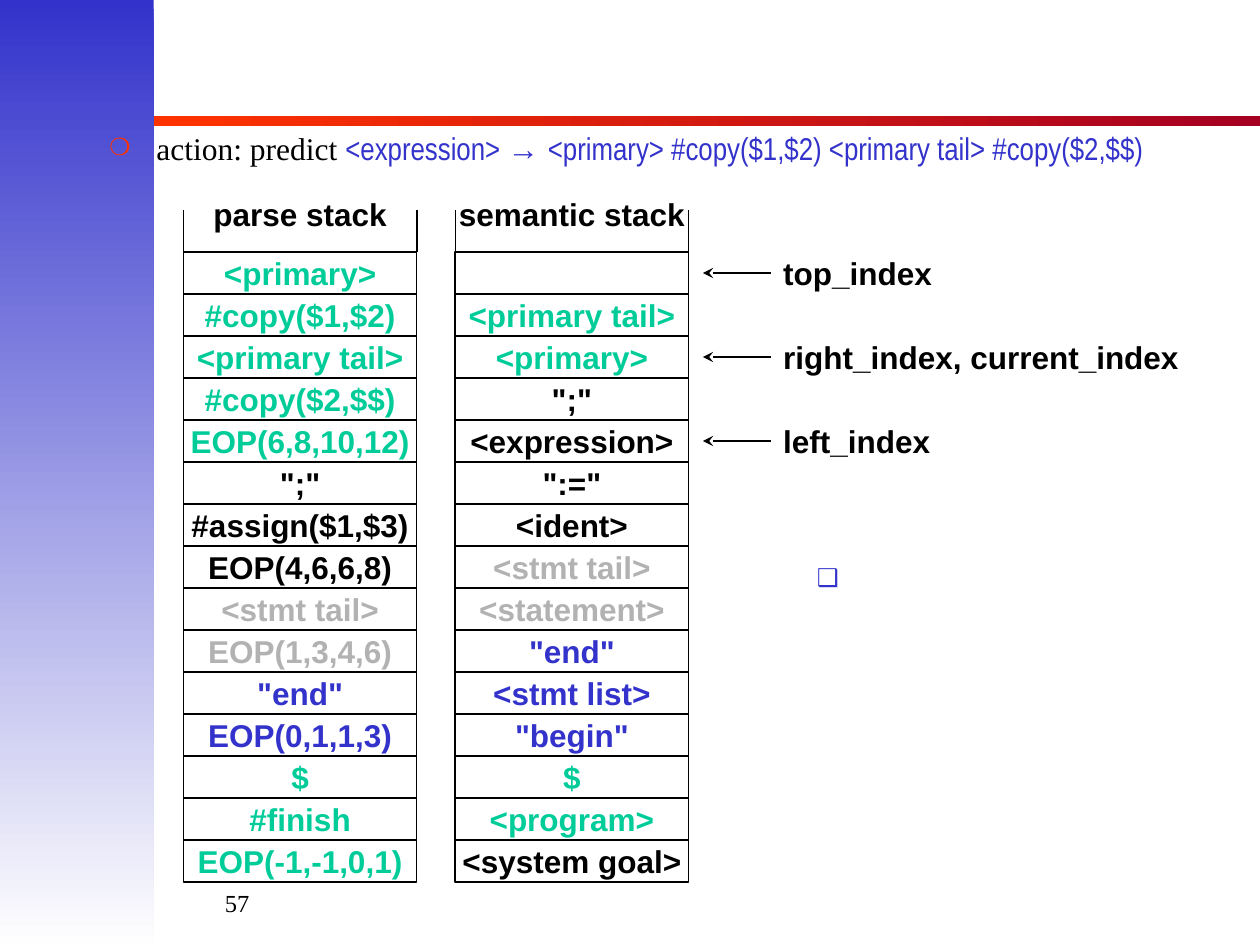
import pptx
import pptx.dml.color
import pptx.enum.shapes
import pptx.enum.text
import pptx.oxml
import pptx.oxml.ns
import pptx.util
from pptx.util import Cm

BLACK, BLUE, GREEN, GREY = "000000", "3333CC", "00CC99", "B2B2B2"
RED, DARK_RED, OFF_WHITE = "FF3300", "A50021", "FEFEFE"

ACTION = [
    ("action: predict ", "Times New Roman", BLACK),
    ("<expression> ", "Arial Narrow", BLUE),
    ("→ ", "Arial", BLUE),
    ("<primary> #copy($1,$2) <primary tail> #copy($2,$$)", "Arial Narrow", BLUE),
]
PARSE_STACK = [
    ("<primary>", GREEN), ("#copy($1,$2)", GREEN), ("<primary tail>", GREEN),
    ("#copy($2,$$)", GREEN), ("EOP(6,8,10,12)", GREEN), ('";"', BLACK),
    ("#assign($1,$3)", BLACK), ("EOP(4,6,6,8)", BLACK), ("<stmt tail>", GREY),
    ("EOP(1,3,4,6)", GREY), ('"end"', BLUE), ("EOP(0,1,1,3)", BLUE),
    ("$", GREEN), ("#finish", GREEN), ("EOP(-1,-1,0,1)", GREEN),
]
SEMANTIC_STACK = [
    ("", BLACK), ("<primary tail>", GREEN), ("<primary>", GREEN),
    ('";"', BLACK), ("<expression>", BLACK), ('":="', BLACK),
    ("<ident>", BLACK), ("<stmt tail>", GREY), ("<statement>", GREY),
    ('"end"', BLUE), ("<stmt list>", BLUE), ('"begin"', BLUE),
    ("$", GREEN), ("<program>", GREEN), ("<system goal>", BLACK),
]
# heading, left edge, heading overhang on each side, rows (cm)
STACKS = [
    ("parse stack", 3.7, 0, PARSE_STACK),
    ("semantic stack", 9.18, 0.4, SEMANTIC_STACK),
]
# row pointed at, label, label width (cm)
INDEXES = [(0, "top_index", 3.5), (2, "right_index, current_index", 8.7), (4, "left_index", 3.7)]

STACK_TOP, STACK_WIDTH, STACK_HEIGHT = 5.08, 4.7, 12.7
ROW = STACK_HEIGHT / len(PARSE_STACK)
LABEL_HEIGHT = 1.02
ARROW_TIP, ARROW_START = 14.17, 15.54

ALIGN = pptx.enum.text.PP_ALIGN
RECTANGLE = pptx.enum.shapes.MSO_SHAPE.RECTANGLE


def rgb(color):
    return pptx.dml.color.RGBColor.from_string(color)


def add_child(parent, tag, **attributes):
    child = pptx.oxml.parse_xml(f"<a:{tag} {pptx.oxml.ns.nsdecls('a')}/>")
    for key, value in attributes.items():
        child.set(key, value)
    parent.append(child)
    return child


def style(font, name, size, color, bold=False):
    font.name, font.size, font.bold = name, pptx.util.Pt(size), bold
    font.color.rgb = rgb(color)


def write(shape, text, color=BLACK, align=ALIGN.CENTER, name="Arial", size=18, bold=True):
    paragraph = shape.text_frame.paragraphs[0]
    paragraph.text = text
    paragraph.alignment = align
    style(paragraph.font, name, size, color, bold)


def add_rectangle(slide, left, top, width, height):
    shape = slide.shapes.add_shape(RECTANGLE, Cm(left), Cm(top), Cm(width), Cm(height))
    shape.shadow.inherit = False
    return shape


def add_gradient(slide, box, angle, colors):
    shape = add_rectangle(slide, *box)
    shape.line.fill.background()
    shape.fill.gradient()
    shape.fill.gradient_angle = angle
    for stop, color in zip(shape.fill.gradient_stops, colors):
        stop.color.rgb = rgb(color)


def add_label(slide, box, text, **look):
    label = slide.shapes.add_textbox(*map(Cm, box))
    label.text_frame.word_wrap = True
    write(label, text, **look)


def add_line(slide, x1, y1, x2, y2):
    line = slide.shapes.add_connector(
        pptx.enum.shapes.MSO_CONNECTOR.STRAIGHT, Cm(x1), Cm(y1), Cm(x2), Cm(y2))
    line.line.color.rgb = rgb(BLACK)
    line.line.width = pptx.util.Pt(1)
    add_child(line.element.spPr, "effectLst")
    return line


def fill_action(body):
    body.left, body.top, body.width, body.height = Cm(1.95), Cm(2.75), Cm(23.45), Cm(2.97)
    frame = body.text_frame
    frame.margin_top = frame.margin_bottom = 0
    frame.auto_size = pptx.enum.text.MSO_AUTO_SIZE.NONE
    paragraph = frame.paragraphs[0]
    properties = paragraph._p.get_or_add_pPr()
    properties.set("marL", str(Cm(0.95)))
    properties.set("indent", str(Cm(-0.95)))
    add_child(add_child(properties, "buClr"), "srgbClr", val=RED)
    add_child(properties, "buSzPct", val="75000")
    add_child(properties, "buChar", char="❍")
    paragraph.line_spacing = 0.8
    paragraph.space_before = 0
    for text, name, color in ACTION:
        run = paragraph.add_run()
        run.text = text
        style(run.font, name, 18, color)


def add_stack(slide, heading, left, overhang, rows):
    for index, (text, color) in enumerate(rows):
        cell = add_rectangle(slide, left, STACK_TOP + index * ROW, STACK_WIDTH, ROW)
        cell.fill.background()
        cell.line.color.rgb = rgb(BLACK)
        cell.line.width = pptx.util.Pt(1)
        cell.text_frame.word_wrap = False
        cell.text_frame.vertical_anchor = pptx.enum.text.MSO_ANCHOR.MIDDLE
        if text:
            write(cell, text, color)
    for x in (left, left + STACK_WIDTH):
        add_line(slide, x, STACK_TOP - ROW, x, STACK_TOP)
    add_label(slide, (left - overhang, 3.81, STACK_WIDTH + 2 * overhang, LABEL_HEIGHT), heading)


def main():
    deck = pptx.Presentation()
    deck.slide_width, deck.slide_height = Cm(25.4), Cm(19.05)
    slide = deck.slides.add_slide(deck.slide_layouts[1])
    title = slide.shapes.title.element
    title.getparent().remove(title)

    add_gradient(slide, (3.05, 2.33, 22.35, 0.22), 0, (RED, DARK_RED))
    add_gradient(slide, (0, 0, 3.1, 19.05), 270, (BLUE, OFF_WHITE))
    body = slide.placeholders[1]
    fill_action(body)
    body.element.getparent().append(body.element)  # in front of the side band

    for stack in STACKS:
        add_stack(slide, *stack)
    for row, text, width in INDEXES:
        middle = STACK_TOP + (row + 0.5) * ROW
        arrow = add_line(slide, ARROW_START, middle, ARROW_TIP, middle)
        add_child(arrow.line._get_or_add_ln(), "tailEnd", type="stealth")
        add_label(slide, (ARROW_START, middle - LABEL_HEIGHT / 2, width, LABEL_HEIGHT),
                  text, align=ALIGN.LEFT)

    add_label(slide, (16.22, 11.2, 1.2, 0.9), "❑",
              color=BLUE, align=ALIGN.LEFT, size=14, bold=False)
    add_label(slide, (0, 17.78, 5.28, 1.27), "57",
              align=ALIGN.RIGHT, name="Times New Roman", size=14, bold=False)
    deck.save("out.pptx")


if __name__ == "__main__":
    main()
